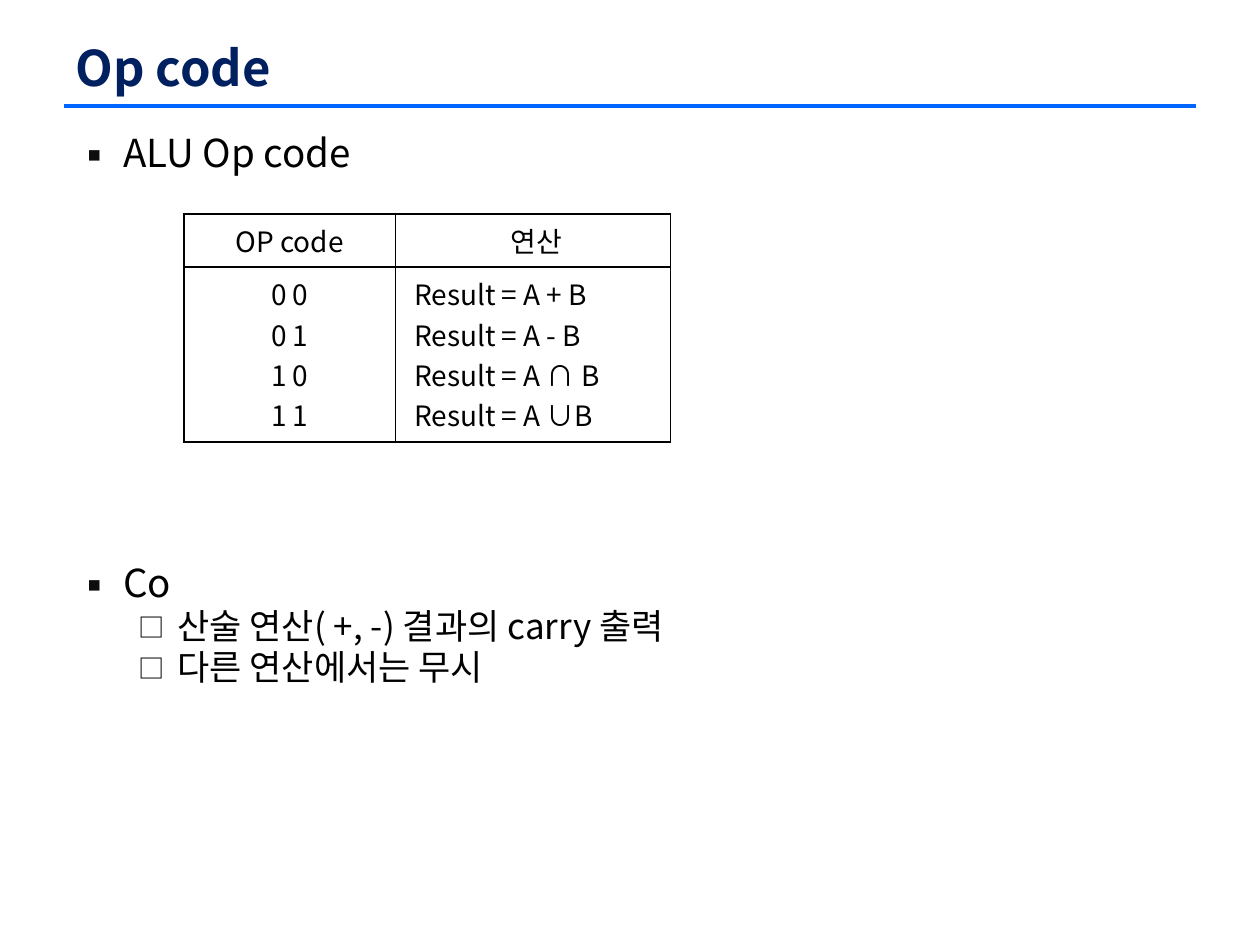
import pptx
import pptx.util
import pptx.dml.color
import pptx.enum.shapes
import pptx.enum.text
import pptx.oxml
import pptx.oxml.ns
from lxml import etree

Inches, Pt = pptx.util.Inches, pptx.util.Pt
ALIGN = pptx.enum.text.PP_ALIGN
COLORS = {"title": "002060", "rule": "0066FF", "text": "000000", "bullet": "0D0D0D"}
FONT = "Noto Sans CJK KR"


def color(name):
    return pptx.dml.color.RGBColor.from_string(COLORS[name])


def sub(parent, tag, **attrs):
    return etree.SubElement(parent, pptx.oxml.ns.qn(tag), attrs)


def write(par, text, size=16, bold=False, tint="text", align=ALIGN.LEFT):
    par.alignment = align
    run = par.add_run()
    run.text = text
    font = run.font
    font.size, font.bold, font.name = Pt(size), bold, FONT
    font.color.rgb = color(tint)
    sub(font._element, "a:ea", typeface=FONT)


def bullet(par, mark, tint, scale, left, hang):
    props = par._p.get_or_add_pPr()
    props.set("marL", str(Inches(left)))
    props.set("indent", str(-Inches(hang)))
    tone = sub(props, "a:buClr")
    sub(tone, "a:srgbClr", val=COLORS[tint])
    sub(props, "a:buSzPct", val=str(scale * 1000))
    sub(props, "a:buFont", typeface=FONT)
    sub(props, "a:buChar", char=mark)


class Deck:
    # level: mark, mark colour, mark percent, left indent, hanging indent, text size
    levels = [("▪", "bullet", 100, 0.38, 0.38, 22), ("□", "text", 75, 0.81, 0.31, 20)]

    def __init__(self):
        self.prs = pptx.Presentation()
        self.prs.slide_width, self.prs.slide_height = Inches(10), Inches(7.5)
        self.slide = self.prs.slides.add_slide(self.prs.slide_layouts[5])

    def title(self, text, left, top, width, height):
        shape = self.slide.shapes.title
        shape.left, shape.top = Inches(left), Inches(top)
        shape.width, shape.height = Inches(width), Inches(height)
        frame = shape.text_frame
        frame.vertical_anchor = pptx.enum.text.MSO_ANCHOR.MIDDLE
        write(frame.paragraphs[0], text, size=28, bold=True, tint="title")

    def rule(self, left, right, y):
        line = self.slide.shapes.add_connector(
            pptx.enum.shapes.MSO_CONNECTOR.STRAIGHT,
            Inches(left), Inches(y), Inches(right), Inches(y))
        line.line.color.rgb = color("rule")
        line.line.width = Pt(2.25)
        sub(line._element.spPr, "a:effectLst")

    def bullets(self, items, left, top, width, height):
        box = self.slide.shapes.add_textbox(
            Inches(left), Inches(top), Inches(width), Inches(height))
        frame = box.text_frame
        frame.word_wrap = True
        for i, (level, text) in enumerate(items):
            par = frame.add_paragraph() if i else frame.paragraphs[0]
            *style, size = self.levels[level]
            par.level = level
            par.line_spacing = 0.97
            bullet(par, *style)
            write(par, text, size=size)

    def table(self, cells, left, top, widths, heights):
        """Each cell is a list of lines and their alignment."""
        grid = self.slide.shapes.add_table(
            len(heights), len(widths), Inches(left), Inches(top),
            Inches(sum(widths)), Inches(sum(heights))).table
        grid.first_row = grid.horz_banding = False
        for col, width in zip(grid.columns, widths):
            col.width = Inches(width)
        for row, height, data in zip(grid.rows, heights, cells):
            row.height = Inches(height)
            for cell, (lines, align) in zip(row.cells, data):
                self.border(cell)
                cell.fill.background()
                frame = cell.text_frame
                for i, text in enumerate(lines):
                    par = frame.add_paragraph() if i else frame.paragraphs[0]
                    write(par, text, align=align)

    def border(self, cell):
        props = cell._tc.get_or_add_tcPr()
        for side in "LRTB":
            line = sub(props, f"a:ln{side}", w=str(Pt(1)))
            fill = sub(line, "a:solidFill")
            sub(fill, "a:srgbClr", val=COLORS["text"])


def main():
    deck = Deck()
    deck.rule(0.51, 9.49, 0.84)
    deck.title("Op code", 0.5, 0.3, 9, 0.46)
    deck.bullets([(0, "ALU Op code")], 0.5, 1, 9, 0.6)
    deck.bullets([
        (0, "Co"),
        (1, "산술 연산( +, -) 결과의 carry 출력"),
        (1, "다른 연산에서는 무시"),
    ], 0.5, 4.41, 9, 2.49)
    codes = ["0 0", "0 1", "1 0", "1 1"]
    results = [f" Result = A {op}B" for op in ("+ ", "- ", "∩ ", "∪")]
    deck.table([
        [(["OP code"], ALIGN.CENTER), ([" 연산"], ALIGN.CENTER)],
        [(codes, ALIGN.CENTER), (results, ALIGN.LEFT)],
    ], 1.46, 1.7, [1.68, 2.18], [0.42, 1.39])
    deck.prs.save("out.pptx")


if __name__ == "__main__":
    main()
